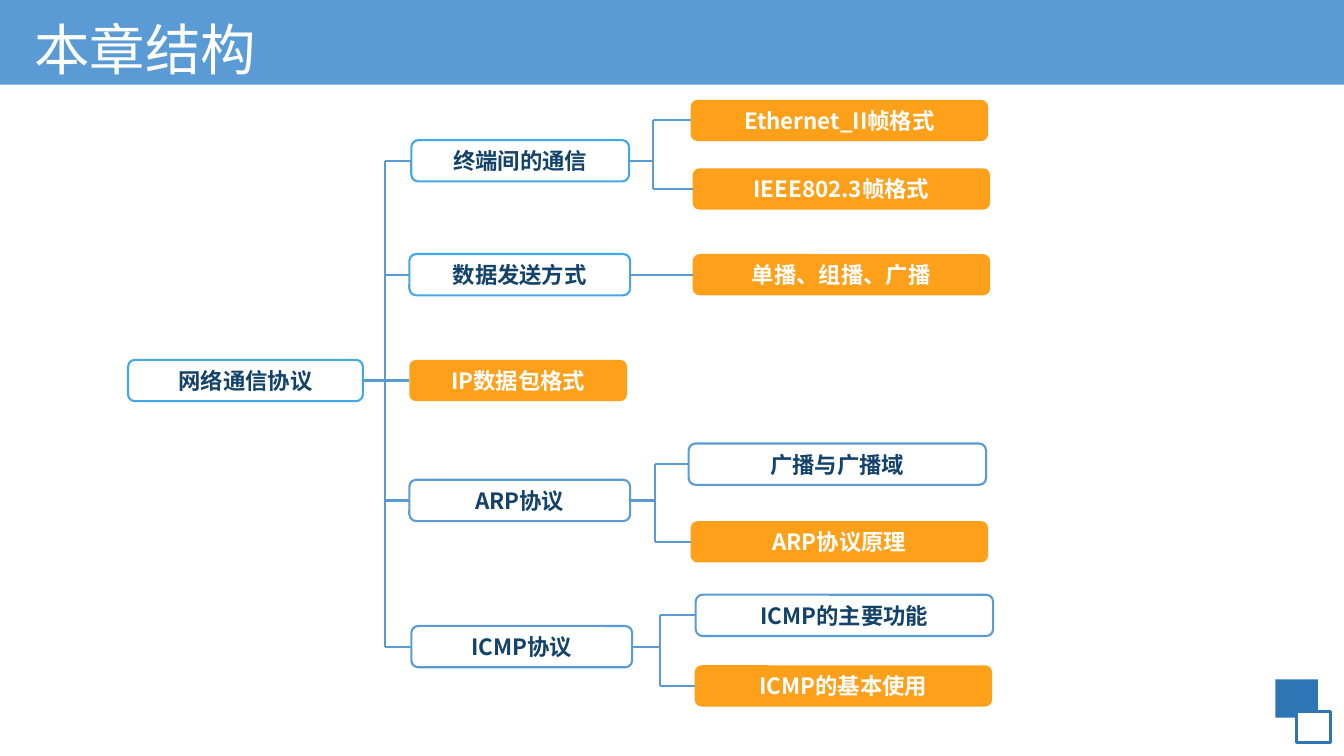
from lxml.etree import SubElement
from pptx import Presentation
from pptx.dml.color import RGBColor
from pptx.enum.shapes import MSO_CONNECTOR, MSO_SHAPE
from pptx.enum.text import MSO_ANCHOR, MSO_AUTO_SIZE, PP_ALIGN
from pptx.oxml.ns import qn
from pptx.util import Emu, Pt

PX = 9144  # 100 px to the inch
FONT = "Noto Sans CJK SC"
WHITE = RGBColor(0xFF, 0xFF, 0xFF)
BLUE = RGBColor(0x5B, 0x9B, 0xD5)
BRIGHT_BLUE = RGBColor(0x44, 0xA7, 0xE7)
DEEP_BLUE = RGBColor(0x2E, 0x75, 0xB6)
NAVY = RGBColor(0x13, 0x43, 0x6A)
ORANGE = RGBColor(0xFE, 0xA0, 0x1A)

BOX_HEIGHT = 41
TRUNK_X = 382
LEFT_SIDE, RIGHT_SIDE = 1, 3

# text, left, top, width, outline (None makes an orange box)
ROOT = ("网络通信协议", 127, 357, 233, BRIGHT_BLUE)
# topic, x of its bracket, subtopics
BRANCHES = [
    (("终端间的通信", 408, 139, 216, BRIGHT_BLUE), 648, [
        ("Ethernet_II帧格式", 685, 99, 295, None),
        ("IEEE802.3帧格式", 687, 167, 295, None)]),
    (("数据发送方式", 406, 252, 219, BRIGHT_BLUE), None, [
        ("单播、组播、广播", 687, 252, 295, None)]),
    (("IP数据包格式", 406, 357, 216, None), None, []),
    (("ARP协议", 406, 476, 219, BLUE), 650, [
        ("广播与广播域", 683, 440, 295, BLUE),
        ("ARP协议原理", 685, 517, 295, None)]),
    (("ICMP协议", 408, 621, 219, BLUE), 655, [
        ("ICMP的主要功能", 690, 590, 295, BLUE),
        ("ICMP的基本使用", 689, 660, 295, None)]),
]


def px(*lengths):
    return [Emu(length * PX) for length in lengths]


def add_block(page, kind, bounds, fill, outline=None, weight=1.5):
    block = page.shapes.add_shape(kind, *px(*bounds))
    block.shadow.inherit = False
    block.fill.solid()
    block.fill.fore_color.rgb = fill
    if outline is None:
        block.line.fill.background()
    else:
        block.line.color.rgb = outline
        block.line.width = Pt(weight)
    return block


def write(para, text, color, **font_format):
    span = para.add_run()
    span.text = text
    span.font.color.rgb = color
    for name, value in {"name": FONT, **font_format}.items():
        setattr(span.font, name, value)
    SubElement(span.font._element, qn("a:ea"), typeface=FONT)


def add_topic(page, text, left, top, width, outline):
    fill, color = (WHITE, NAVY) if outline else (ORANGE, WHITE)
    box = add_block(page, MSO_SHAPE.ROUNDED_RECTANGLE,
                    (left, top, width, BOX_HEIGHT), fill, outline)
    box.adjustments[0] = 0.167
    frame = box.text_frame
    frame_format = {"vertical_anchor": MSO_ANCHOR.MIDDLE, "word_wrap": True,
                    "auto_size": MSO_AUTO_SIZE.SHAPE_TO_FIT_TEXT}
    for name, value in frame_format.items():
        setattr(frame, name, value)
    para = frame.paragraphs[0]
    para.alignment = PP_ALIGN.CENTER
    write(para, text, color, size=Pt(16), bold=True)
    return box


def add_title(page, text):
    box = page.shapes.add_textbox(*px(24, 10, 1110, 63))
    box.text_frame.word_wrap = True
    box.text_frame.vertical_anchor = MSO_ANCHOR.MIDDLE
    para = box.text_frame.paragraphs[0]
    para.line_spacing = 1.2
    write(para, text, WHITE, size=Pt(39.6))


def middle(box):
    return box.top + box.height // 2


def add_line(page, start, end, source=None, target=None):
    """Draw a line, joined to the right of source and the left of target."""
    line = page.shapes.add_connector(MSO_CONNECTOR.STRAIGHT, *start, *end)
    line.line.color.rgb = BLUE
    line.line.width = Pt(1.5)
    SubElement(line._element.spPr, qn("a:effectLst"))
    if source is not None:
        line.begin_connect(source, RIGHT_SIDE)
    if target is not None:
        line.end_connect(target, LEFT_SIDE)


def add_bracket(page, parent, children, x):
    """Link a parent to its children through a vertical line at x."""
    origin = (parent.left + parent.width, middle(parent))
    level = [child for child in children if middle(child) == middle(parent)]
    for child in children:
        end = (child.left, middle(child))
        if child in level:
            add_line(page, origin, end, parent, child)
        else:
            add_line(page, (x, middle(child)), end, target=child)
    if not level:
        add_line(page, origin, (x, middle(parent)), source=parent)
    if len(children) > 1:
        add_line(page, (x, middle(children[0])), (x, middle(children[-1])))


def main():
    deck = Presentation()
    deck.slide_width, deck.slide_height = px(1333, 750)
    page = deck.slides.add_slide(deck.slide_layouts[6])

    add_block(page, MSO_SHAPE.RECTANGLE, (0, -1, 1333, 85), BLUE)
    add_block(page, MSO_SHAPE.RECTANGLE, (1265, 674, 42, 38), DEEP_BLUE)
    add_block(page, MSO_SHAPE.RECTANGLE, (1286, 706, 34, 31),
              WHITE, DEEP_BLUE, 2)
    add_title(page, "本章结构")

    root = add_topic(page, *ROOT)
    topics = []
    for topic, bracket_x, subtopics in BRANCHES:
        parent = add_topic(page, *topic)
        topics.append(parent)
        children = [add_topic(page, *subtopic) for subtopic in subtopics]
        if children:
            add_bracket(page, parent, children, Emu((bracket_x or 0) * PX))
    add_bracket(page, root, topics, Emu(TRUNK_X * PX))

    deck.save("out.pptx")


if __name__ == "__main__":
    main()
